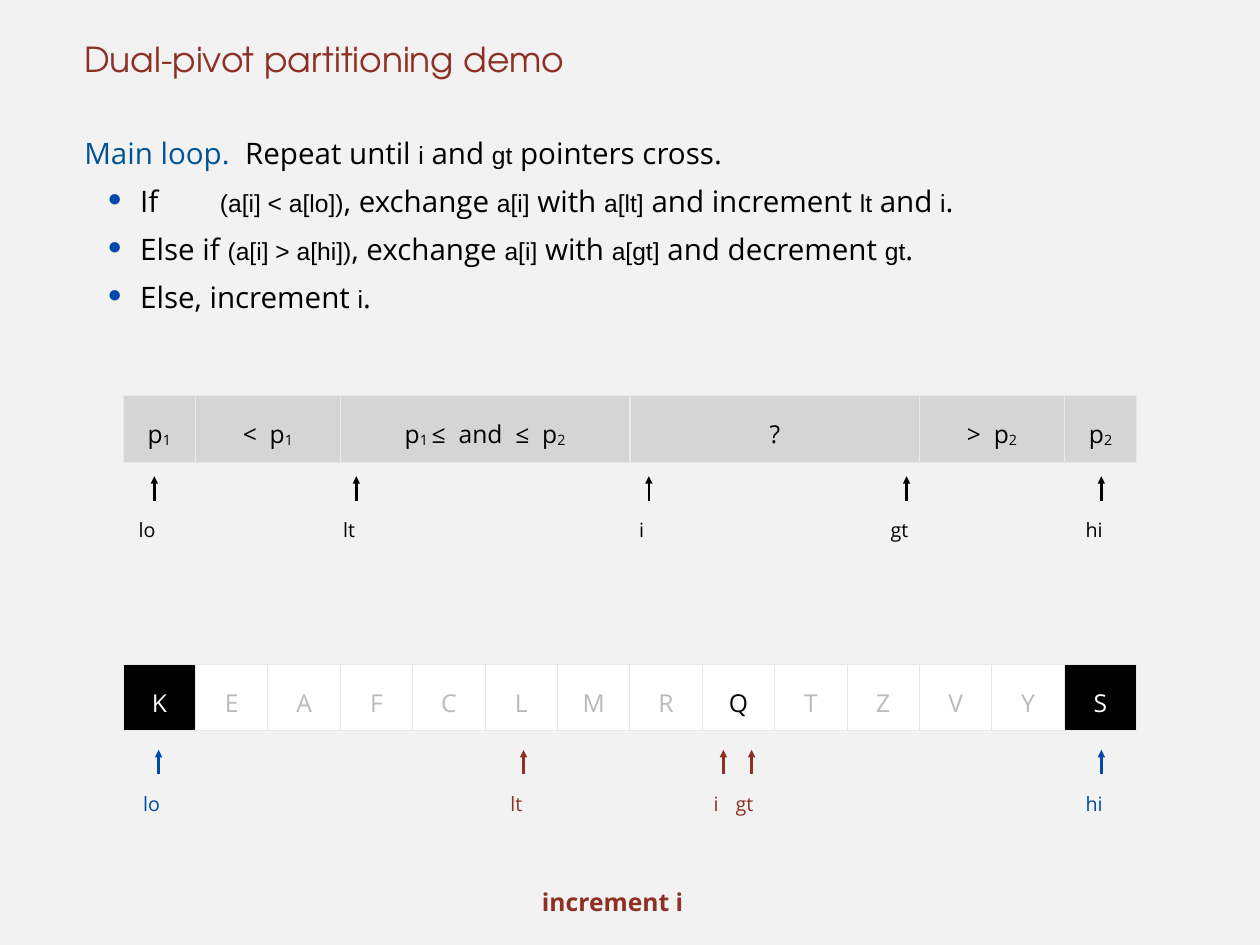
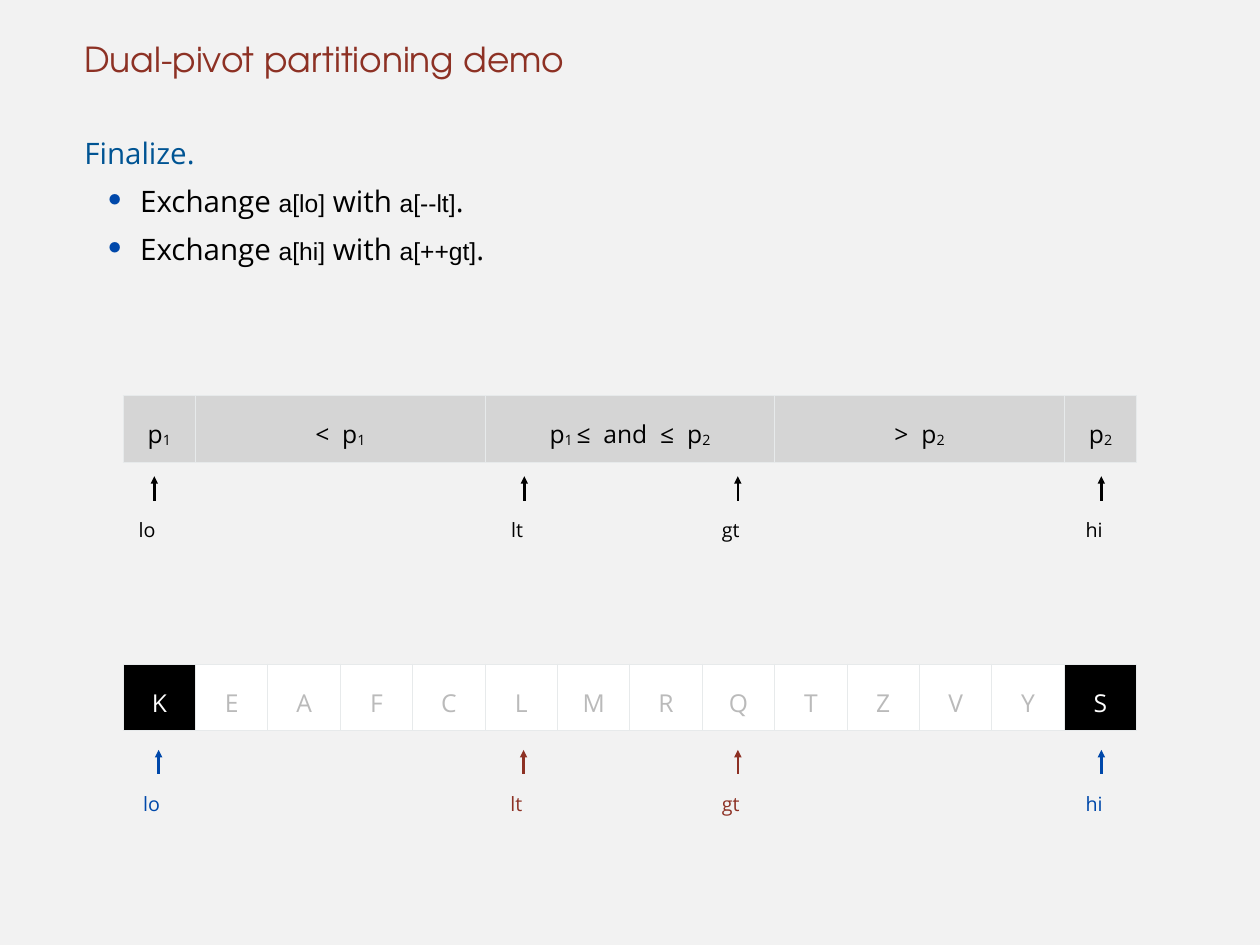
from dataclasses import dataclass

from lxml.etree import SubElement
from pptx import Presentation
from pptx.dml.color import RGBColor
from pptx.enum.shapes import MSO_CONNECTOR
from pptx.enum.text import MSO_ANCHOR, MSO_AUTO_SIZE, PP_ALIGN
from pptx.oxml.ns import qn
from pptx.util import Inches, Pt


@dataclass(frozen=True)
class Theme:
    back: str = "F2F2F2"
    red: str = "8D3124"
    blue: str = "0048AA"
    lead: str = "005493"
    ink: str = "000000"
    paper: str = "FFFFFF"
    faded: str = "BABABA"
    band: str = "D5D5D5"
    rule: str = "E7EAEB"
    title_font: str = "TeX Gyre Adventor"
    font: str = "Open Sans"
    code_font: str = "Arial"
    title_size: int = 28
    body_size: int = 24
    cell_size: int = 20
    label_size: int = 16


T = Theme()
WIDTH, HEIGHT = 14.22, 10.67
LEFT, COL, ROW = 1.39, 11.44 / 14, 0.75
BAND_ROW, ARRAY_ROW = 5.96, 10
INDENT, HANG = 0.06, 0.56


def x(col):
    return Inches(LEFT + col * COL)


def y(row):
    return Inches(row * ROW)


def add_run(p, text, size, color, font=T.font, bold=False):
    r = p.add_run()
    r.text = text
    r.font.name, r.font.size, r.font.bold = font, Pt(size), bold
    r.font.color.rgb = RGBColor.from_string(color)
    return r


def set_indent(p, left, first=0):
    pPr = p._p.get_or_add_pPr()
    pPr.set("marL", str(Inches(left)))
    pPr.set("indent", str(Inches(first)))
    return pPr


def add_solid(parent, tag, color):
    SubElement(SubElement(parent, qn(tag)), qn("a:srgbClr")).set("val", color)


class Deck:
    """Holds the presentation, the grid and the slide being built."""

    def __init__(self):
        self.prs = Presentation()
        self.prs.slide_width, self.prs.slide_height = Inches(WIDTH), Inches(HEIGHT)
        self.s = None

    def slide(self, title, lead, intro, bullets):
        self.s = self.prs.slides.add_slide(self.prs.slide_layouts[1])
        fill = self.s.background.fill
        fill.solid()
        fill.fore_color.rgb = RGBColor.from_string(T.back)

        tf = self.frame(self.s.shapes.title, 0, 1.19, MSO_ANCHOR.BOTTOM)
        p = self.line(tf.paragraphs[0], 59)
        set_indent(p, INDENT)
        add_run(p, title, T.title_size, T.red, T.title_font)

        tf = self.frame(self.s.placeholders[1], 1.85, 11.85, MSO_ANCHOR.TOP)
        p = self.line(tf.paragraphs[0], 39)
        SubElement(set_indent(p, INDENT), qn("a:buNone"))
        add_run(p, lead, T.body_size, T.lead)
        self.prose(p, intro)
        for text in bullets:
            self.bullet(tf.add_paragraph(), text)

    def frame(self, sp, row, height, anchor):
        sp.left, sp.top = x(-0.61), y(row)
        sp.width, sp.height = x(14.61) - x(-0.61), y(height)
        return self.plain(sp.text_frame, anchor)

    def plain(self, tf, anchor=MSO_ANCHOR.TOP):
        tf.margin_left = tf.margin_right = tf.margin_top = tf.margin_bottom = 0
        tf.auto_size, tf.word_wrap = MSO_AUTO_SIZE.NONE, True
        tf.vertical_anchor = anchor
        return tf

    def line(self, p, spacing):
        p.alignment = PP_ALIGN.LEFT
        p.line_spacing, p.space_before = Pt(spacing), Pt(0)
        return p

    def bullet(self, p, text):
        p.level = 1
        pPr = set_indent(self.line(p, 39), 0.69, -HANG)
        add_solid(pPr, "a:buClr", T.blue)
        SubElement(pPr, qn("a:buSzPct")).set("val", "167000")
        SubElement(pPr, qn("a:buChar")).set("char", "・")
        self.prose(p, text)

    def prose(self, p, text):
        """Adds body text: backticks enclose code, a tab is a space widened by tracking."""
        for i, part in enumerate(text.split("`")):
            if i % 2:
                add_run(p, part, T.cell_size, T.ink, T.code_font)
            elif part:
                before, tab, _ = part.partition("\t")
                add_run(p, before, T.body_size, T.ink)
                if tab:
                    r = add_run(p, " ", T.body_size, T.ink)
                    r._r.get_or_add_rPr().set("spc", "4370")

    def table(self, row, widths, cells):
        """Adds a one-row table; each cell is (text, text colour, fill)."""
        frame = self.s.shapes.add_table(1, len(cells), x(0), y(row),
                                        x(14) - x(0), y(1))
        table = frame.table
        table.first_row = table.horz_banding = False
        for i, (span, (text, color, fill)) in enumerate(zip(widths, cells)):
            table.columns[i].width = Inches(span * COL)
            self.cell(table.cell(0, i), text, color, fill)

    def cell(self, cell, text, color, fill):
        """Fills a table cell; underscores enclose subscripts."""
        cell.margin_left = cell.margin_right = Inches(INDENT)
        cell.margin_top = cell.margin_bottom = Inches(INDENT)
        cell.vertical_anchor = MSO_ANCHOR.MIDDLE
        tcPr = cell._tc.get_or_add_tcPr()
        for side in "LRTB":
            add_solid(SubElement(tcPr, qn("a:ln" + side), w=str(Pt(1))),
                      "a:solidFill", T.rule)
        cell.fill.solid()
        cell.fill.fore_color.rgb = RGBColor.from_string(fill)
        p = cell.text_frame.paragraphs[0]
        p.alignment, p.line_spacing = PP_ALIGN.CENTER, 1.3
        for i, part in enumerate(text.split("_")):
            if part:
                r = add_run(p, part, T.cell_size, color)
                if i % 2:
                    r._r.get_or_add_rPr().set("baseline", "-6000")

    def regions(self, *parts):
        """Draws the grey band of (columns, text) regions."""
        self.table(BAND_ROW, [span for span, _ in parts],
                   [(text, T.ink, T.band) for _, text in parts])

    def array(self, letters, active=""):
        """Draws the array with black pivots at its ends."""
        last = len(letters) - 1
        cells = [(c, T.paper, T.ink) if i in (0, last)
                 else (c, T.ink if c == active else T.faded, T.paper)
                 for i, c in enumerate(letters)]
        self.table(ARRAY_ROW, [1] * len(letters), cells)

    def label(self, left, top, width, text, size, color, bold=False):
        tb = self.s.shapes.add_textbox(left, top, width, Inches(0.4))
        p = self.plain(tb.text_frame).paragraphs[0]
        p.alignment, p.line_spacing = PP_ALIGN.CENTER, 1.5
        add_run(p, text, size, color, bold=bold)

    def pointers(self, row, marks):
        """Draws an up arrow and its name for each (name, column, colour)."""
        for name, col, color in marks:
            ln = self.s.shapes.add_connector(MSO_CONNECTOR.STRAIGHT, x(col), y(row),
                                             x(col), y(row + 0.37))
            ln.line.width = Pt(2)
            ln.line.color.rgb = RGBColor.from_string(color)
            SubElement(ln.line._get_or_add_ln(), qn("a:headEnd")).set("type", "triangle")
            SubElement(ln._element.spPr, qn("a:effectLst"))
            self.label(x(col - 0.35), y(row + 0.45), Inches(0.41),
                       name, T.label_size, color)

    def band_pointers(self, **cols):
        self.pointers(7.17, [(n, c, T.ink) for n, c in cols.items()])

    def array_pointers(self, **cols):
        self.pointers(11.29, [(n, c, T.blue if n in ("lo", "hi") else T.red)
                              for n, c in cols.items()])

    def message(self, text):
        self.label(x(-0.84), y(13.13), Inches(12.42), text, T.cell_size, T.red, True)


def main():
    title, letters = "Dual-pivot partitioning demo", "KEAFCLMRQTZVYS"
    low, high = (1, "p_1_"), (1, "p_2_")
    less, between, more = "<  p_1_", "p_1 _≤  and  ≤  p_2_", ">  p_2_"
    d = Deck()

    d.slide(title, "Main loop.  ", "Repeat until `i` and `gt` pointers cross.", [
        "If\t`(a[i] < a[lo])`, exchange `a[i]` with `a[lt]` and increment `lt` and `i`.",
        "Else if `(a[i] > a[hi])`, exchange `a[i]` with `a[gt]` and decrement `gt`.",
        "Else, increment `i`.",
    ])
    d.regions(low, (2, less), (4, between), (4, "?"), (2, more), high)
    d.band_pointers(lo=0.43, lt=3.22, i=7.26, gt=10.82, hi=13.51)
    d.array(letters, active="Q")
    d.array_pointers(lo=0.49, lt=5.53, i=8.29, gt=8.68, hi=13.51)
    d.message("increment i")

    d.slide(title, "Finalize.", "", [
        "Exchange `a[lo]` with `a[--lt]`.",
        "Exchange `a[hi]` with `a[++gt]`.",
    ])
    d.regions(low, (4, less), (4, between), (4, more), high)
    d.band_pointers(lo=0.43, lt=5.54, gt=8.49, hi=13.51)
    d.array(letters)
    d.array_pointers(lo=0.49, lt=5.53, gt=8.49, hi=13.51)

    d.prs.save("out.pptx")


if __name__ == "__main__":
    main()
